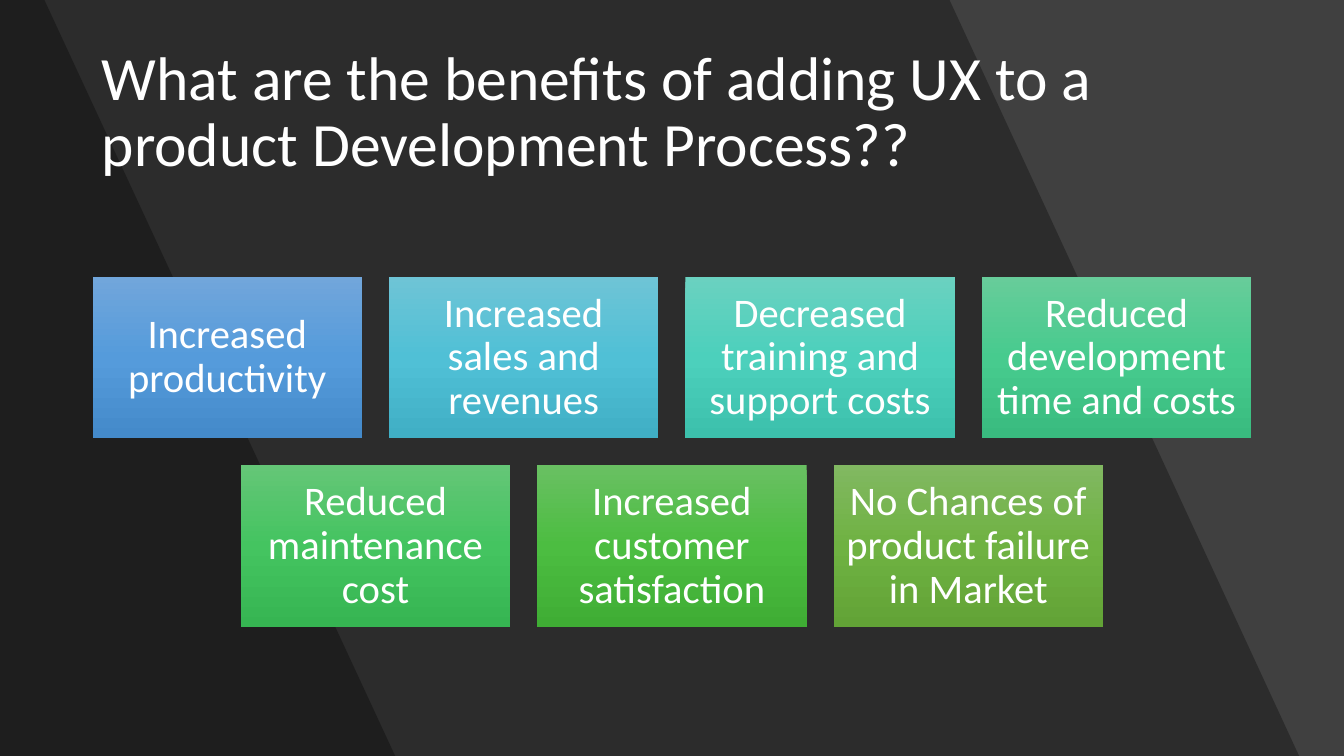
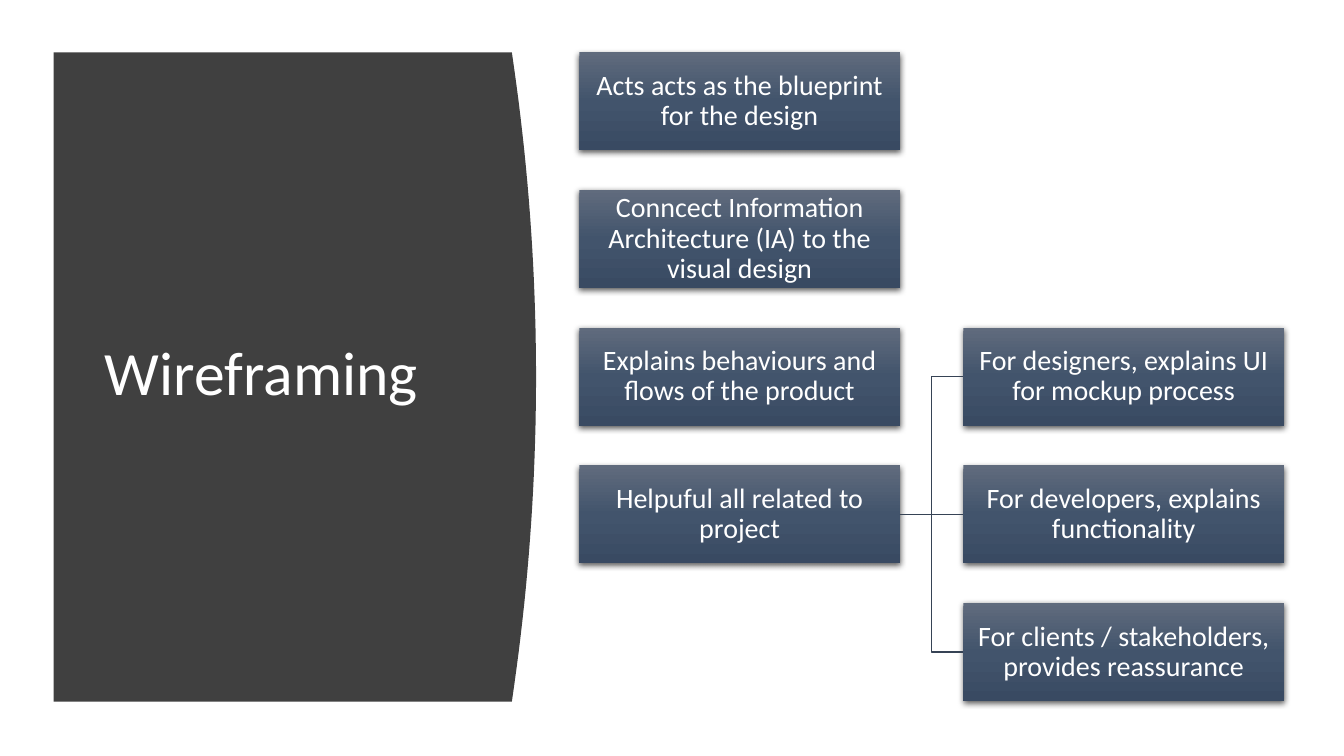
from copy import deepcopy

from lxml import etree
from pptx import Presentation
from pptx import util as u
from pptx.dml.color import RGBColor
from pptx.enum import shapes, text
from pptx.oxml import ns

WHITE = RGBColor(255, 255, 255)
BLACK = RGBColor(0, 0, 0)
GREY = RGBColor(0x40, 0x40, 0x40)
SLATE = RGBColor(0x36, 0x43, 0x55)
STEEL = ("606B7D", "42546C", "394A62")
WIDE, HIGH = 33.87, 19.05

GAINS = {
    "title": "What are the benefits of adding UX to a product Development Process??",
    "rows": [
        [
            ("Increased productivity", ("71A6DB", "559BDB", "448ACA")),
            ("Increased sales and revenues", ("6EC4D6", "50C0D6", "40AFC5")),
            ("Decreased training and support costs", ("6AD1C0", "4CD0BC", "3CC0AC")),
            ("Reduced development time and costs", ("67CC9A", "47CB8E", "39BB7F")),
        ],
        [
            ("Reduced maintenance cost", ("64C677", "44C460", "36B552")),
            ("Increased customer satisfaction", ("69C062", "4CBD41", "3FAD34")),
            ("No Chances of product failure in Market", ("81B861", "6FB242", "62A336")),
        ],
    ],
}
FRAMES = {
    "title": "Wireframing",
    "roots": [
        "Acts acts as the blueprint for the design",
        "Conncect Information Architecture (IA) to the visual design",
        "Explains behaviours and flows of the product",
        "Helpuful all related to project",
    ],
    "leaves": [
        "For designers, explains UI for mockup process",
        "For developers, explains functionality",
        "For clients / stakeholders, provides reassurance",
    ],
}
BANDS = [(23.93, 32.74), (1.12, 9.96)]


def apply(thing, form):
    for key, value in form.items():
        setattr(thing, key, value)


def write(shape, words, size, side, inset=None):
    frame = shape.text_frame
    frame.text = words
    apply(frame, {
        "word_wrap": True,
        "auto_size": text.MSO_AUTO_SIZE.NONE,
        "vertical_anchor": text.MSO_ANCHOR.MIDDLE,
    })
    if inset is not None:
        edges = ("margin_left", "margin_top", "margin_right", "margin_bottom")
        apply(frame, dict.fromkeys(edges, u.Cm(inset)))
    part = frame.paragraphs[0]
    apply(part, {"alignment": side, "line_spacing": 0.9})
    apply(part.font, {"name": "Calibri", "size": u.Pt(size)})
    part.font.color.rgb = WHITE


def start(deck, back):
    slide = deck.slides.add_slide(deck.slide_layouts[5])
    fill = slide.background.fill
    fill.solid()
    fill.fore_color.rgb = back
    return slide


def head(slide, words, box):
    title = slide.shapes.title
    apply(title, dict(zip(("left", "top", "width", "height"), map(u.Cm, box))))
    write(title, words, 44, text.PP_ALIGN.LEFT)
    slide.shapes._spTree.append(title._element)


def outline(slide, points, color, alpha=None):
    spots = [(u.Cm(x), u.Cm(y)) for x, y in points]
    pen = slide.shapes.build_freeform(*spots[0])
    pen.add_line_segments(spots[1:], close=True)
    shape = pen.convert_to_shape()
    shape.shadow.inherit = False
    shape.fill.solid()
    shape.fill.fore_color.rgb = color
    shape.line.fill.background()
    if alpha:
        tone = shape._element.spPr.find(".//" + ns.qn("a:srgbClr"))
        etree.SubElement(tone, ns.qn("a:alpha"), val=str(alpha * 1000))


def shade(shape, tones):
    fill = shape.fill
    fill.gradient()
    fill.gradient_angle = 270
    stops = shape._element.spPr.find(".//" + ns.qn("a:gsLst"))
    stops.insert(1, deepcopy(stops[0]))
    for stop, tone, place in zip(fill.gradient_stops, tones, (0, 0.5, 1)):
        stop.color.rgb = RGBColor.from_string(tone)
        stop.position = place


def lift(shape):
    effects = shape._element.spPr.find(ns.qn("a:effectLst"))
    cast = etree.SubElement(effects, ns.qn("a:outerShdw"), blurRad="57150",
                            dist="19050", dir="5400000", algn="ctr", rotWithShape="0")
    tone = etree.SubElement(cast, ns.qn("a:srgbClr"), val=str(BLACK))
    etree.SubElement(tone, ns.qn("a:alpha"), val="63000")


def card(slide, words, tones, box, size, inset):
    shape = slide.shapes.add_shape(shapes.MSO_SHAPE.RECTANGLE, *map(u.Cm, box))
    shape.shadow.inherit = False
    shape.line.fill.background()
    shade(shape, tones)
    write(shape, words, size, text.PP_ALIGN.CENTER, inset)
    return shape


def link(slide, root, leaf):
    kinds = shapes.MSO_CONNECTOR
    kind = kinds.STRAIGHT if root.top == leaf.top else kinds.ELBOW
    line = slide.shapes.add_connector(kind, 0, 0, 0, 0)
    line.begin_connect(root, 3)
    line.end_connect(leaf, 1)
    line.line.color.rgb = SLATE
    line.line.width = u.Pt(1)
    etree.SubElement(line._element.spPr, ns.qn("a:effectLst"))


def gains(deck):
    slide = start(deck, GREY)
    for top, base in BANDS:
        outline(slide, [(0, 0), (top, 0), (base, HIGH), (0, HIGH)], BLACK, 30)
    head(slide, GAINS["title"], (2.31, 1.02, 29.24, 3.68))
    wide, high, gap = 6.79, 4.07, 0.68
    for r, row in enumerate(GAINS["rows"]):
        left = (WIDE - len(row) * (wide + gap) + gap) / 2
        for c, (words, tones) in enumerate(row):
            box = (left + c * (wide + gap), 6.98 + r * (high + gap), wide, high)
            card(slide, words, tones, box, 29, 0.3)


def frames(deck):
    slide = start(deck, WHITE)
    left, top, edge, bulge, tall, steps = 1.35, 1.32, 12.9, 0.61, 16.36, 40
    curve = [(edge + bulge * (1 - (2 * i / steps - 1) ** 2), top + tall * i / steps)
             for i in range(steps + 1)]
    outline(slide, [(left, top), *curve, (left, top + tall)], GREY)
    head(slide, FRAMES["title"], (2.39, 2.82, 9.5, 13.31))
    wide, high, step = 8.08, 2.47, 3.47

    def stack(items, x, first):
        made = []
        for i, words in enumerate(items, first):
            shape = card(slide, words, STEEL, (x, top + i * step, wide, high), 20, 0.03)
            lift(shape)
            made.append(shape)
        return made

    roots = stack(FRAMES["roots"], 14.6, 0)
    for leaf in stack(FRAMES["leaves"], 24.28, 2):
        link(slide, roots[-1], leaf)


def main():
    deck = Presentation()
    apply(deck, {"slide_width": u.Cm(WIDE), "slide_height": u.Cm(HIGH)})
    gains(deck)
    frames(deck)
    deck.save("out.pptx")


if __name__ == "__main__":
    main()
